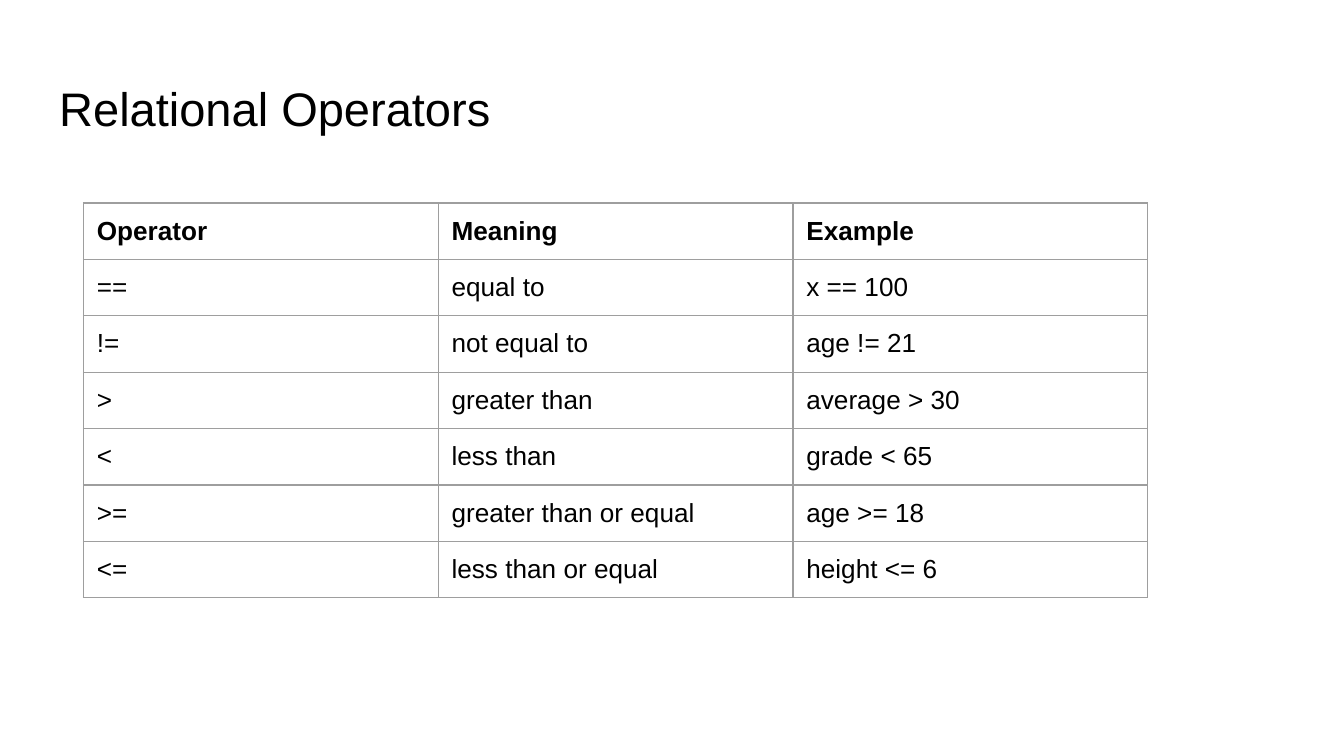
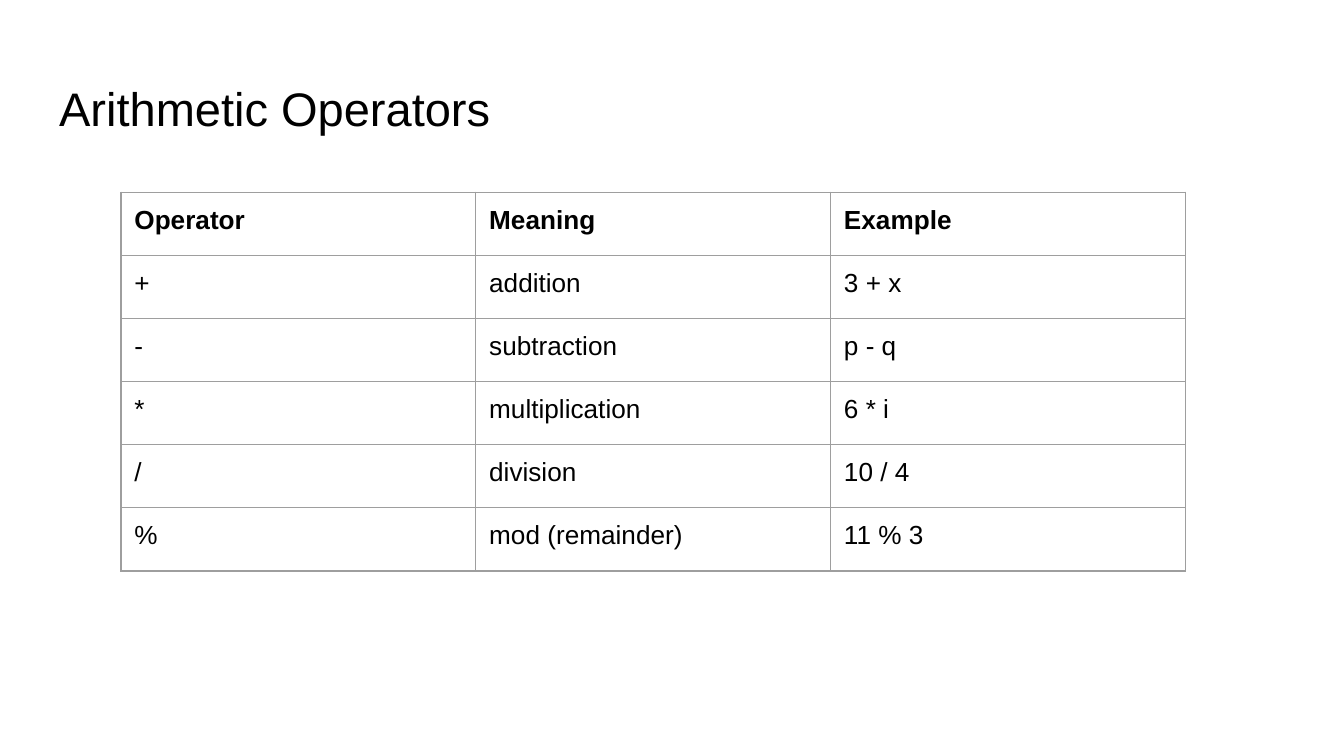
"""Build two slides that tabulate relational and arithmetic operators."""
import dataclasses

import lxml.etree
import pptx
import pptx.dml.color
import pptx.enum.text
import pptx.oxml.ns
import pptx.util

Inches = pptx.util.Inches
Pt = pptx.util.Pt

HEADINGS = ("Operator", "Meaning", "Example")
SLIDES = [
    {
        "title": "Relational Operators",
        "left": 0.62, "top": 1.51, "row_height": 0.42,
        "operators": [
            ("==", "equal to", "x == 100"),
            ("!=", "not equal to", "age != 21"),
            (">", "greater than", "average > 30"),
            ("<", "less than", "grade < 65"),
            (">=", "greater than or equal", "age >= 18"),
            ("<=", "less than or equal", "height <= 6"),
        ],
    },
    {
        "title": "Arithmetic Operators",
        "left": 0.9, "top": 1.43, "row_height": 0.47,
        "operators": [
            ("+", "addition", "3 + x"),
            ("-", "subtraction", "p - q"),
            ("*", "multiplication", "6 * i"),
            ("/", "division", "10 / 4"),
            ("%", "mod (remainder)", "11 % 3"),
        ],
    },
]


@dataclasses.dataclass(frozen=True)
class Theme:
    font: str = "Arial"
    text: str = "000000"
    background: str = "FFFFFF"
    border: str = "9E9E9E"
    border_width: float = 0.75
    title_size: float = 25.2
    cell_size: float = 14
    inset: float = 0.1
    column_width: float = 2.64


THEME = Theme()


def set_font(paragraph, size, bold=False):
    font = paragraph.font
    font.name, font.size, font.bold = THEME.font, Pt(size), bold
    font.color.rgb = pptx.dml.color.RGBColor.from_string(THEME.text)


def set_insets(holder):
    for side in ("left", "top", "right", "bottom"):
        setattr(holder, f"margin_{side}", Inches(THEME.inset))


def add_borders(cell):
    qn = pptx.oxml.ns.qn
    properties = cell._tc.get_or_add_tcPr()
    for side in ("lnL", "lnR", "lnT", "lnB"):
        line = lxml.etree.SubElement(
            properties, qn(f"a:{side}"), w=str(Pt(THEME.border_width)))
        fill = lxml.etree.SubElement(line, qn("a:solidFill"))
        lxml.etree.SubElement(fill, qn("a:srgbClr"), val=THEME.border)


def add_title(page, title):
    box = page.shapes.title
    box.left, box.top = Inches(0.34), Inches(0.49)
    box.width, box.height = Inches(9.32), Inches(0.63)
    frame = box.text_frame
    frame.text = title
    frame.word_wrap = True
    frame.auto_size = pptx.enum.text.MSO_AUTO_SIZE.NONE
    frame.vertical_anchor = pptx.enum.text.MSO_ANCHOR.MIDDLE
    set_insets(frame)
    paragraph = frame.paragraphs[0]
    paragraph.alignment = pptx.enum.text.PP_ALIGN.LEFT
    set_font(paragraph, THEME.title_size)


def add_operator_table(page, content):
    rows = [HEADINGS, *content["operators"]]
    table = page.shapes.add_table(
        len(rows), len(HEADINGS), Inches(content["left"]), Inches(content["top"]),
        Inches(THEME.column_width * len(HEADINGS)),
        Inches(content["row_height"] * len(rows))).table
    table.first_row = table.horz_banding = False
    for column in table.columns:
        column.width = Inches(THEME.column_width)
    for row_index, values in enumerate(rows):
        table.rows[row_index].height = Inches(content["row_height"])
        for column_index, value in enumerate(values):
            cell = table.cell(row_index, column_index)
            cell.text = value
            cell.vertical_anchor = pptx.enum.text.MSO_ANCHOR.TOP
            set_insets(cell)
            add_borders(cell)
            cell.fill.background()
            set_font(cell.text_frame.paragraphs[0], THEME.cell_size, row_index == 0)


def main():
    deck = pptx.Presentation()
    deck.slide_width = Inches(10)
    deck.slide_height = deck.slide_width * 9 // 16
    background = deck.slide_master.background.fill
    background.solid()
    background.fore_color.rgb = pptx.dml.color.RGBColor.from_string(THEME.background)
    title_only = deck.slide_layouts.get_by_name("Title Only")
    for content in SLIDES:
        page = deck.slides.add_slide(title_only)
        add_title(page, content["title"])
        add_operator_table(page, content)
    deck.save("out.pptx")


if __name__ == "__main__":
    main()
